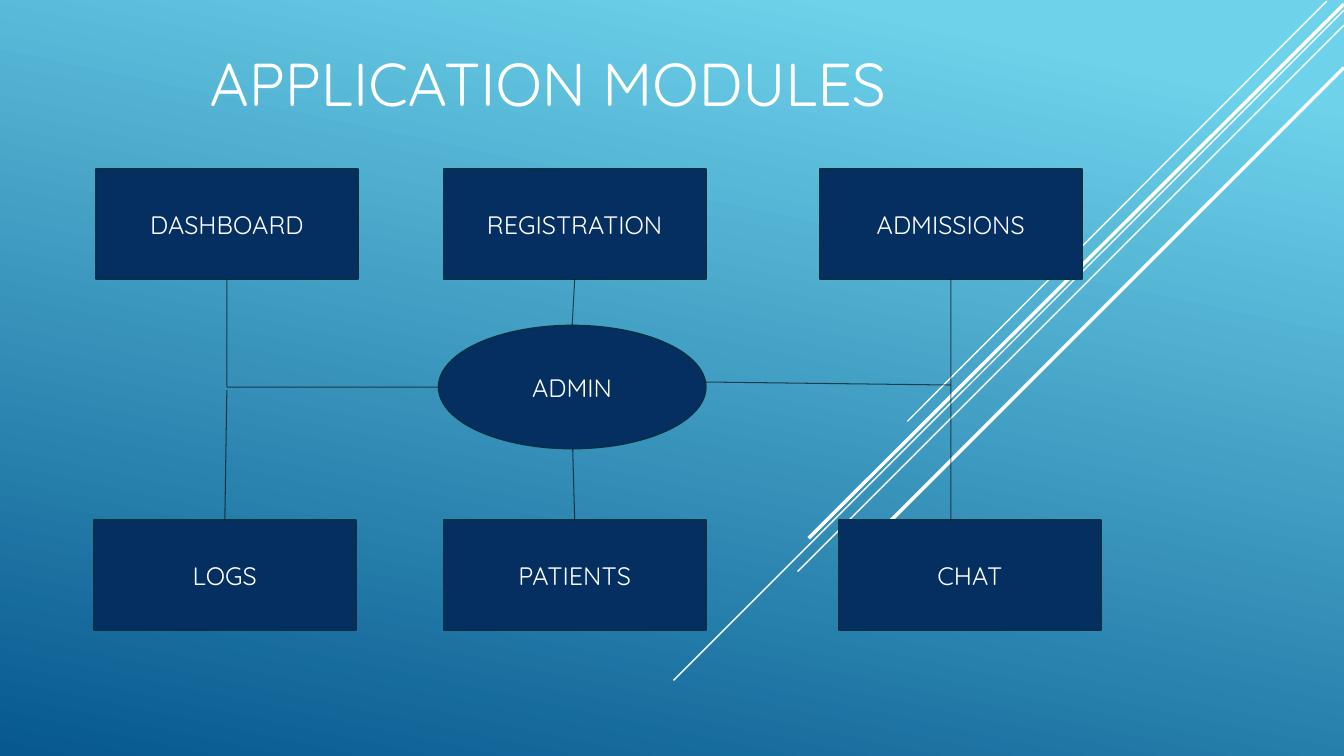
from pptx import Presentation
from pptx.dml.color import RGBColor
from pptx.enum.shapes import MSO_CONNECTOR as Connector, MSO_SHAPE as Shape
from pptx.enum.text import MSO_ANCHOR as Anchor, PP_ALIGN as Align
from pptx.oxml.ns import qn
from pptx.util import Inches, Pt
from lxml.etree import SubElement

TOP, BOTTOM = 0, 2


def rgb(value):
    return RGBColor.from_string(value)


class Deck:
    font = "Quicksand"
    white, navy, edge, black = "FFFFFF", "052F61", "043148", "000000"

    def __init__(self):
        self.prs = Presentation()
        self.prs.slide_width = Inches(13.33)
        self.prs.slide_height = Inches(7.5)
        self.slide = self.prs.slides.add_slide(self.prs.slide_layouts[5])

    def background(self, stops, angle):
        fill = self.slide.background.fill
        fill.gradient()
        fill.gradient_angle = angle
        for stop, (position, color) in zip(fill.gradient_stops, stops):
            stop.position = position
            stop.color.rgb = rgb(color)

    def set_text(self, frame, text, size, align, anchor):
        frame.text = text
        frame.word_wrap = True
        frame.vertical_anchor = anchor
        paragraph = frame.paragraphs[0]
        paragraph.alignment = align
        paragraph.font.name = self.font
        paragraph.font.size = Pt(size)
        paragraph.font.color.rgb = rgb(self.white)

    def title(self, text, left, top, width, height):
        title = self.slide.shapes.title
        title.left, title.top = Inches(left), Inches(top)
        title.width, title.height = Inches(width), Inches(height)
        self.set_text(title.text_frame, text, 43.2, Align.LEFT, Anchor.BOTTOM)

    def module(self, text, left, top, width=2.6, height=1.09, kind=Shape.RECTANGLE):
        module = self.slide.shapes.add_shape(
            kind, Inches(left), Inches(top), Inches(width), Inches(height))
        module.shadow.inherit = False
        module.fill.solid()
        module.fill.fore_color.rgb = rgb(self.navy)
        module.line.color.rgb = rgb(self.edge)
        module.line.width = Pt(1.25)
        self.set_text(module.text_frame, text, 18, Align.CENTER, Anchor.MIDDLE)
        return module

    def line(self, start, end, color, width, opacity=100):
        line = self.slide.shapes.add_connector(
            Connector.STRAIGHT, *[Inches(value) for value in (*start, *end)])
        line.line.color.rgb = rgb(color)
        line.line.width = Pt(width)
        properties = line._element.spPr
        if opacity < 100:
            ink = properties.find(".//" + qn("a:srgbClr"))
            SubElement(ink, qn("a:alpha")).set("val", str(opacity * 1000))
        SubElement(properties, qn("a:effectLst"))
        return line

    def link(self, start, end, begin=None, finish=None):
        link = self.line(start, end, self.black, 0.75, opacity=60)
        if begin:
            link.begin_connect(*begin)
        if finish:
            link.end_connect(*finish)


def main():
    deck = Deck()
    deck.background([(0.1, "6ED2EB"), (1, "06588E")], 258)

    for start, end, width in [
        ((13.16, 0.01), (9, 4.18), 1),
        ((13.33, 0.1), (6.68, 6.75), 1),
        ((13.33, 0.25), (7.91, 5.67), 1),
        ((13.33, 0.04), (8.02, 5.34), 2.5),
        ((13.33, 0.67), (8.58, 5.42), 2.5),
    ]:
        deck.line(start, end, deck.white, width)

    deck.title("APPLICATION MODULES", 1.98, 0.35, 8.75, 0.88)

    upper, lower = 1.68, 5.16
    admin = deck.module("ADMIN", 4.35, 3.23, 2.65, 1.22, Shape.OVAL)
    dashboard = deck.module("DASHBOARD", 0.95, upper)
    logs = deck.module("LOGS", 0.93, lower)
    registration = deck.module("REGISTRATION", 4.4, upper)
    patients = deck.module("PATIENTS", 4.4, lower)
    admissions = deck.module("ADMISSIONS", 8.13, upper)
    deck.module("CHAT", 8.32, lower)

    deck.link((2.25, 2.77), (2.25, 3.84), begin=(dashboard, BOTTOM))
    deck.link((2.25, 3.84), (4.35, 3.84))
    deck.link((2.25, 3.87), (2.23, lower), finish=(logs, TOP))
    deck.link((5.7, 2.77), (5.68, 3.23), (registration, BOTTOM), (admin, TOP))
    deck.link((5.68, 4.45), (5.7, lower), finish=(patients, TOP))
    deck.link((7, 3.79), (9.43, 3.82))
    deck.link((9.43, 2.77), (9.43, 3.87), begin=(admissions, BOTTOM))
    deck.link((9.43, lower), (9.43, 3.87))

    deck.prs.save("out.pptx")


if __name__ == "__main__":
    main()
